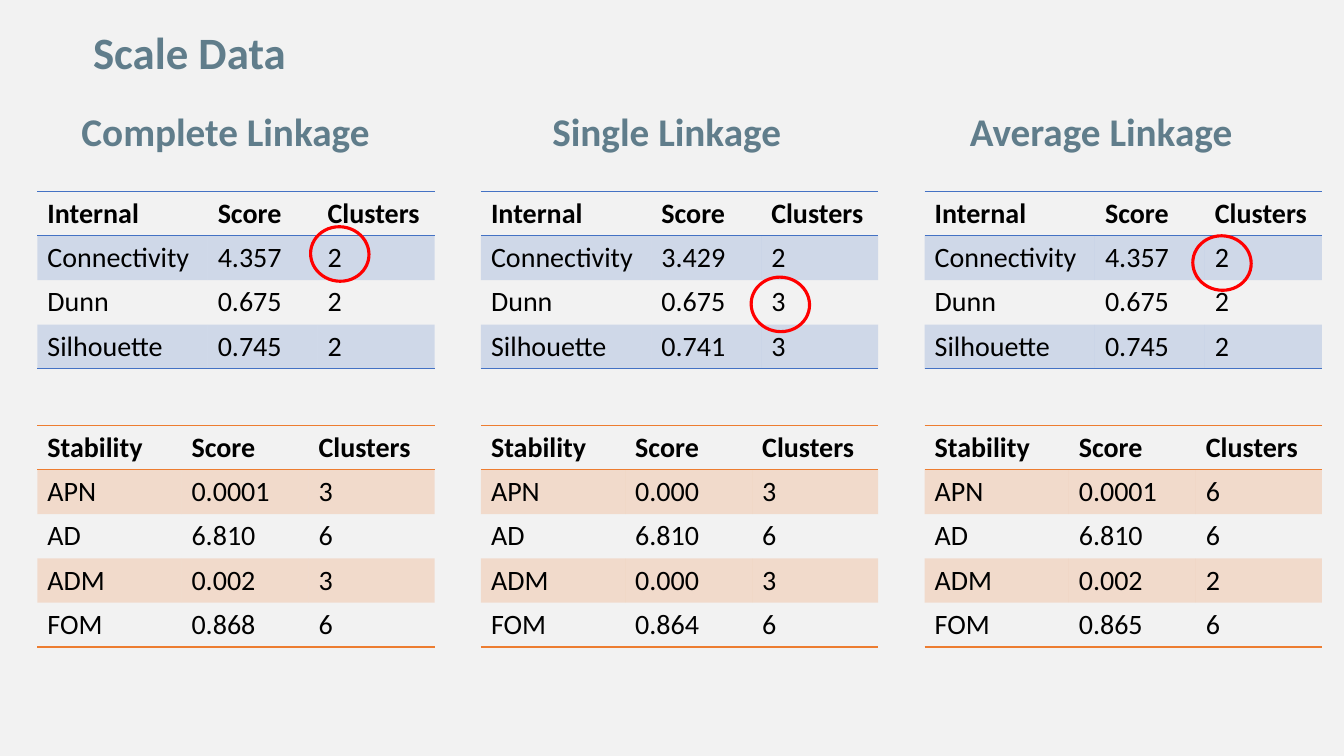
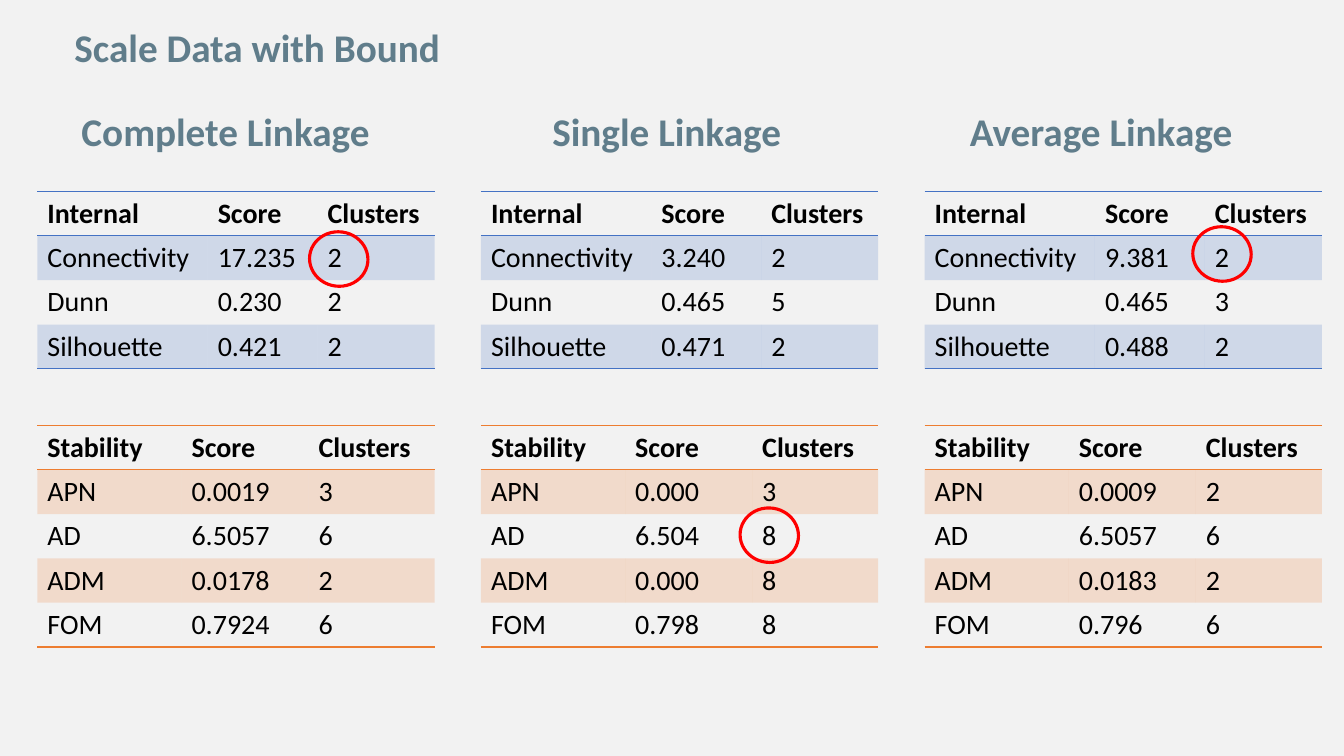
from dataclasses import dataclass

from lxml import etree
from pptx import Presentation
from pptx.dml.color import RGBColor
from pptx.enum import shapes, text
from pptx.oxml import ns
from pptx.util import Inches, Pt


@dataclass(frozen=True)
class Theme:
    font: str = "Calibri"
    background: str = "F2F2F2"
    heading: str = "607D8B"
    body: str = "000000"
    internal: str = "4472C4"
    stability: str = "ED7D31"
    ring: str = "FF0000"
    heading_size: int = 28
    cell_size: int = 20
    rule_width: float = 1
    ring_width: float = 2.25
    band_opacity: int = 20


THEME = Theme()
NO_STYLE = "{2D5ABB26-0587-4C30-8999-92F81FD0307C}"

HEADINGS = [("Complete Linkage", 0.71), ("Single Linkage", 5.38), ("Average Linkage", 9.52)]
TABLES = {
    "Internal": dict(
        measures=["Connectivity", "Dunn", "Silhouette"],
        top=1.9, widths=[1.69, 1.09, 1.16], color=THEME.internal),
    "Stability": dict(
        measures=["APN", "AD", "ADM", "FOM"],
        top=4.22, widths=[1.43, 1.26, 1.25], color=THEME.stability),
}
SLIDES = [
    dict(
        title="Scale Data", title_size=32, title_top=0.19, title_width=3.76, title_height=0.64,
        Internal=[
            [("4.357", "2"), ("0.675", "2"), ("0.745", "2")],
            [("3.429", "2"), ("0.675", "3"), ("0.741", "3")],
            [("4.357", "2"), ("0.675", "2"), ("0.745", "2")],
        ],
        Stability=[
            [("0.0001", "3"), ("6.810", "6"), ("0.002", "3"), ("0.868", "6")],
            [("0.000", "3"), ("6.810", "6"), ("0.000", "3"), ("0.864", "6")],
            [("0.0001", "6"), ("6.810", "6"), ("0.002", "2"), ("0.865", "6")],
        ],
        rings=[(3.08, 2.25), (7.45, 2.75), (11.83, 2.34)],
    ),
    dict(
        title="Scale Data with Bound", title_size=28, title_top=0.18, title_width=5.1, title_height=0.57,
        Internal=[
            [("17.235", "2"), ("0.230", "2"), ("0.421", "2")],
            [("3.240", "2"), ("0.465", "5"), ("0.471", "2")],
            [("9.381", "2"), ("0.465", "3"), ("0.488", "2")],
        ],
        Stability=[
            [("0.0019", "3"), ("6.5057", "6"), ("0.0178", "2"), ("0.7924", "6")],
            [("0.000", "3"), ("6.504", "8"), ("0.000", "8"), ("0.798", "8")],
            [("0.0009", "2"), ("6.5057", "6"), ("0.0183", "2"), ("0.796", "6")],
        ],
        rings=[(3.07, 2.3), (7.34, 5.04), (11.83, 2.25)],
    ),
]

TABLE_LEFT, TABLE_PITCH, ROW_HEIGHT = 0.37, 4.4, 0.44
HEADING_TOP, HEADING_WIDTH, HEADING_HEIGHT = 1.02, 3.25, 0.57
RING_WIDTH, RING_HEIGHT, RING_TILT = 0.58, 0.54, 7.4


def rgb(color):
    return RGBColor.from_string(color)


def write(tf, content, *, size, color, bold=False, align=text.PP_ALIGN.LEFT):
    p = tf.paragraphs[0]
    p.alignment = align
    r = p.add_run()
    r.text = content
    r.font.name, r.font.size, r.font.bold = THEME.font, Pt(size), bold
    r.font.color.rgb = rgb(color)


def add_title(s, data):
    sp = s.shapes.title
    sp.left, sp.top = Inches(0), Inches(data["title_top"])
    sp.width, sp.height = Inches(data["title_width"]), Inches(data["title_height"])
    tf = sp.text_frame
    tf.auto_size = text.MSO_AUTO_SIZE.NONE
    tf.vertical_anchor = text.MSO_ANCHOR.MIDDLE
    tf.word_wrap = True
    write(tf, data["title"], size=data["title_size"], color=THEME.heading,
          bold=True, align=text.PP_ALIGN.CENTER)


def add_heading(s, content, left):
    sp = s.shapes.add_textbox(Inches(left), Inches(HEADING_TOP),
                              Inches(HEADING_WIDTH), Inches(HEADING_HEIGHT))
    sp.text_frame.word_wrap = True
    write(sp.text_frame, content, size=THEME.heading_size, color=THEME.heading, bold=True)


def fill_band(cell, color):
    cell.fill.solid()
    cell.fill.fore_color.rgb = rgb(color)
    clr = cell._tc.tcPr.find(".//" + ns.qn("a:srgbClr"))
    etree.SubElement(clr, ns.qn("a:alpha"), val=str(THEME.band_opacity * 1000))


def add_rules(cell, color, sides):
    for i, side in enumerate(sides):
        ln = etree.Element(ns.qn(f"a:ln{side}"), w=str(Pt(THEME.rule_width)))
        fill = etree.SubElement(ln, ns.qn("a:solidFill"))
        etree.SubElement(fill, ns.qn("a:srgbClr"), val=color)
        cell._tc.tcPr.insert(i, ln)


def add_scores(s, name, scores, left):
    look = TABLES[name]
    rows = [(name, "Score", "Clusters")]
    rows += [(m, *pair) for m, pair in zip(look["measures"], scores)]
    frame = s.shapes.add_table(len(rows), 3, Inches(left), Inches(look["top"]),
                               Inches(sum(look["widths"])), Inches(ROW_HEIGHT * len(rows)))
    table = frame.table
    table.first_row = table.horz_banding = False
    table._tbl.tblPr.find(ns.qn("a:tableStyleId")).text = NO_STYLE
    for column, width in zip(table.columns, look["widths"]):
        column.width = Inches(width)
    for i, row in enumerate(rows):
        table.rows[i].height = Inches(ROW_HEIGHT)
        sides = "TB" if i == 0 else "B" if i == len(rows) - 1 else ""
        for j, content in enumerate(row):
            cell = table.cell(i, j)
            write(cell.text_frame, content, size=THEME.cell_size, color=THEME.body, bold=i == 0)
            if i % 2:
                fill_band(cell, look["color"])
            else:
                cell.fill.background()
            add_rules(cell, look["color"], sides)


def add_ring(s, left, top):
    sp = s.shapes.add_shape(shapes.MSO_SHAPE.OVAL, Inches(left), Inches(top),
                            Inches(RING_WIDTH), Inches(RING_HEIGHT))
    sp.rotation = RING_TILT
    sp.shadow.inherit = False
    sp.fill.background()
    sp.line.color.rgb = rgb(THEME.ring)
    sp.line.width = Pt(THEME.ring_width)


def main():
    prs = Presentation()
    prs.slide_width, prs.slide_height = Inches(13.33), Inches(7.5)
    background = prs.slide_master.background.fill
    background.solid()
    background.fore_color.rgb = rgb(THEME.background)
    for data in SLIDES:
        s = prs.slides.add_slide(prs.slide_layouts.get_by_name("Title Only"))
        add_title(s, data)
        for i, (heading, left) in enumerate(HEADINGS):
            add_heading(s, heading, left)
            for name in TABLES:
                add_scores(s, name, data[name][i], TABLE_LEFT + i * TABLE_PITCH)
        for left, top in data["rings"]:
            add_ring(s, left, top)
    prs.save("out.pptx")


if __name__ == "__main__":
    main()
